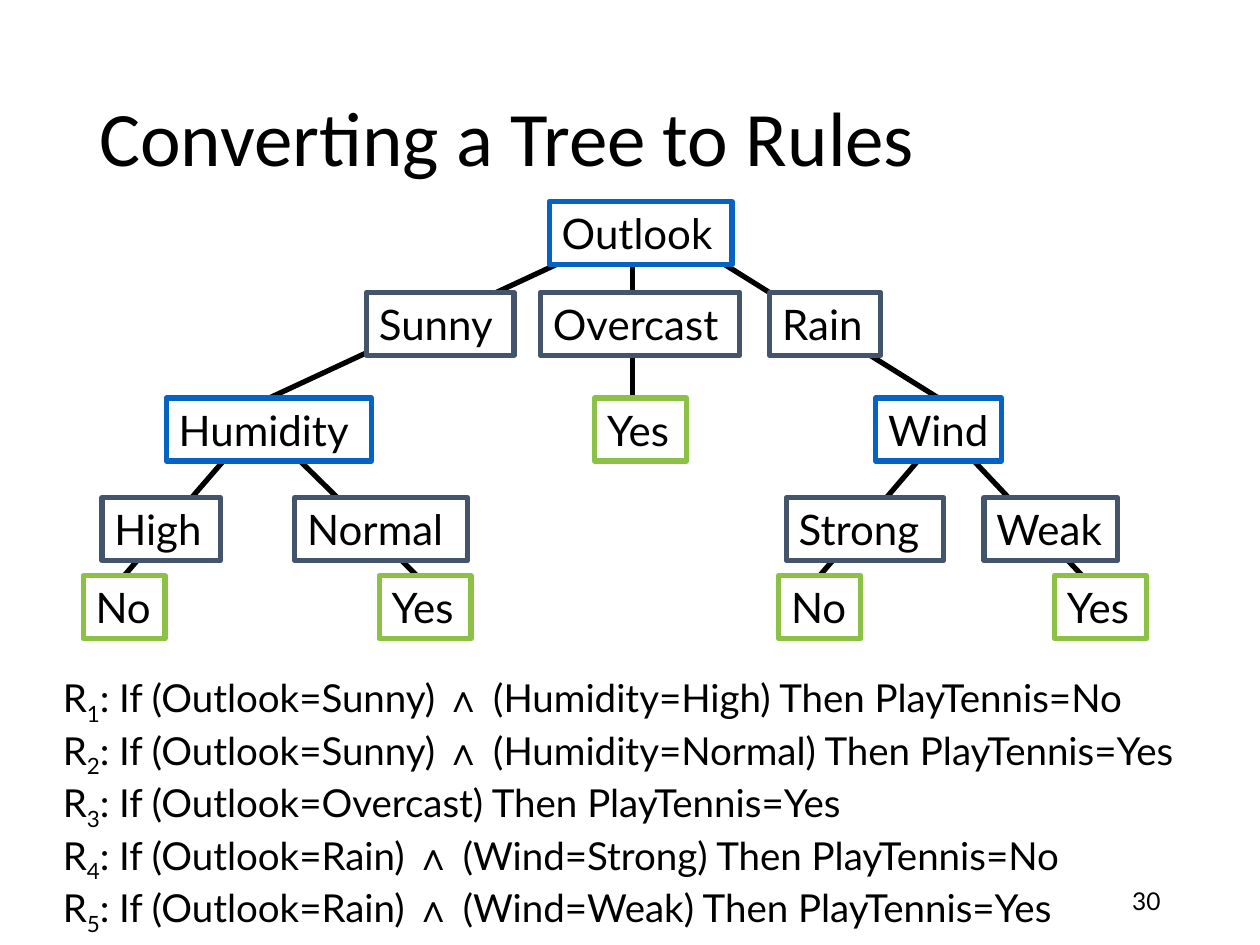
"""Build the slide that turns the PlayTennis decision tree into rules."""
from dataclasses import dataclass

import pptx
import pptx.dml.color
import pptx.enum.shapes
import pptx.enum.text
import pptx.oxml.ns
import pptx.util
from lxml import etree
from pptx.util import Inches


@dataclass(frozen=True)
class Theme:
    ink: str = "000000"
    paper: str = "FFFFFF"
    attribute: str = "0563C1"
    value: str = "44546A"
    answer: str = "8BC145"
    title_font: str = "Calibri"
    body_font: str = "Lato"
    symbol_font: str = "Arial"
    title_size: int = 44
    node_size: int = 24
    rule_size: int = 22
    number_size: int = 14
    line_width: int = 3


THEME = Theme()
NODE_HEIGHT = 0.5
AND = "∧"

LEVELS = [
    (1.6, THEME.attribute, [("Outlook", 4.36, 1.45)]),
    (2.32, THEME.value, [("Sunny", 2.91, 1.17), ("Overcast", 4.29, 1.58), ("Rain", 6.11, 0.88)]),
    (3.16, THEME.attribute, [("Humidity", 1.32, 1.63), ("Wind", 6.95, 1)]),
    (3.16, THEME.answer, [("Yes", 4.72, 0.73)]),
    (3.95, THEME.value, [("High", 0.81, 0.94), ("Normal", 2.34, 1.37),
                         ("Strong", 6.24, 1.25), ("Weak", 7.81, 1.06)]),
    (4.57, THEME.answer, [("No", 0.66, 0.65), ("Yes", 3.01, 0.73),
                          ("No", 6.18, 0.65), ("Yes", 8.37, 0.73)]),
]

BRANCHES = [
    (4.78, 1.93, 2.14, 3.16),
    (5.48, 1.93, 7.45, 3.16),
    (1.91, 3.5, 0.98, 4.57),
    (2.22, 3.5, 3.31, 4.57),
    (7.58, 3.5, 8.59, 4.57),
    (7.42, 3.5, 6.5, 4.57),
    (5.02, 1.99, 5.02, 3.16),
]

RULES = [
    ("(Outlook=Sunny) ∧ (Humidity=High)", "No"),
    ("(Outlook=Sunny) ∧ (Humidity=Normal)", "Yes"),
    ("(Outlook=Overcast)", "Yes"),
    ("(Outlook=Rain) ∧ (Wind=Strong)", "No"),
    ("(Outlook=Rain) ∧ (Wind=Weak)", "Yes"),
]


def color(value):
    """Turn a hex string into a colour."""
    return pptx.dml.color.RGBColor.from_string(value)


def style_font(font, name, size):
    """Set typeface, size and ink colour."""
    font.name = name
    font.size = pptx.util.Pt(size)
    font.color.rgb = color(THEME.ink)


def add_text_box(slide, left, top, width, height):
    """Add an empty wrapping text box and return its text frame."""
    box = slide.shapes.add_textbox(Inches(left), Inches(top), Inches(width), Inches(height))
    box.text_frame.word_wrap = True
    return box.text_frame


def add_line_of_text(slide, text, bounds, font_name, size, alignment):
    """Add one vertically centred line of text."""
    frame = add_text_box(slide, *bounds)
    frame.vertical_anchor = pptx.enum.text.MSO_ANCHOR.MIDDLE
    frame.text = text
    paragraph = frame.paragraphs[0]
    paragraph.alignment = alignment
    style_font(paragraph.runs[0].font, font_name, size)
    return paragraph


def add_branch(slide, start_x, start_y, end_x, end_y):
    """Add a tree branch as a straight connector."""
    branch = slide.shapes.add_connector(
        pptx.enum.shapes.MSO_CONNECTOR.STRAIGHT,
        Inches(start_x), Inches(start_y), Inches(end_x), Inches(end_y))
    branch.line.color.rgb = color(THEME.ink)
    branch.line.width = pptx.util.Pt(THEME.line_width)
    etree.SubElement(branch._element.spPr, pptx.oxml.ns.qn("a:effectLst"))
    return branch


def add_node(slide, text, left, top, width, outline):
    """Add an outlined tree node with its label."""
    node = slide.shapes.add_shape(
        pptx.enum.shapes.MSO_SHAPE.RECTANGLE,
        Inches(left), Inches(top), Inches(width), Inches(NODE_HEIGHT))
    node.shadow.inherit = False
    node.fill.solid()
    node.fill.fore_color.rgb = color(THEME.paper)
    node.line.color.rgb = color(outline)
    node.line.width = pptx.util.Pt(THEME.line_width)
    frame = node.text_frame
    frame.margin_right = 0
    frame.vertical_anchor = pptx.enum.text.MSO_ANCHOR.TOP
    frame.text = text
    paragraph = frame.paragraphs[0]
    paragraph.alignment = pptx.enum.text.PP_ALIGN.LEFT
    style_font(paragraph.runs[0].font, THEME.body_font, THEME.node_size)
    return node


def join_branches(branches, nodes):
    """Join each branch to the node whose top middle it reaches."""
    tolerance = Inches(0.02)
    for branch in branches:
        for node in nodes:
            offset = abs(branch.end_x - node.left - node.width // 2)
            if offset <= tolerance and abs(branch.end_y - node.top) <= tolerance:
                branch.end_connect(node, 0)


def add_tree(slide):
    """Draw the branches behind the nodes and join them."""
    branches = [add_branch(slide, *ends) for ends in BRANCHES]
    nodes = [add_node(slide, text, left, top, width, outline)
             for top, outline, row in LEVELS
             for text, left, width in row]
    join_branches(branches, nodes)


def add_run(paragraph, text, font_name=THEME.body_font):
    """Append a run of rule text."""
    run = paragraph.add_run()
    run.text = text
    style_font(run.font, font_name, THEME.rule_size)
    return run


def add_rules(slide):
    """List the numbered rules with subscript numbers."""
    frame = add_text_box(slide, 0.4, 5.3, 9.35, 2.55)
    for number, (condition, answer) in enumerate(RULES, 1):
        paragraph = frame.paragraphs[0] if number == 1 else frame.add_paragraph()
        add_run(paragraph, "R")
        subscript = add_run(paragraph, str(number))
        subscript._r.get_or_add_rPr().set("baseline", "-25000")
        sentence = f": If {condition} Then PlayTennis={answer}"
        before, symbol, after = sentence.partition(AND)
        add_run(paragraph, before)
        if symbol:
            add_run(paragraph, symbol, THEME.symbol_font)
            add_run(paragraph, after)


def main():
    """Build and save the slide."""
    presentation = pptx.Presentation()
    presentation.slide_width = Inches(10)
    presentation.slide_height = Inches(7.5)
    slide = presentation.slides.add_slide(presentation.slide_layouts[6])
    align = pptx.enum.text.PP_ALIGN
    title = add_line_of_text(slide, "Converting a Tree to Rules", (0.69, 0.4, 8.63, 1.45),
                             THEME.title_font, THEME.title_size, align.LEFT)
    title.line_spacing = 0.9
    add_line_of_text(slide, "30", (7.06, 6.95, 2.25, 0.4),
                     THEME.body_font, THEME.number_size, align.RIGHT)
    add_tree(slide)
    add_rules(slide)
    presentation.save("out.pptx")


if __name__ == "__main__":
    main()
